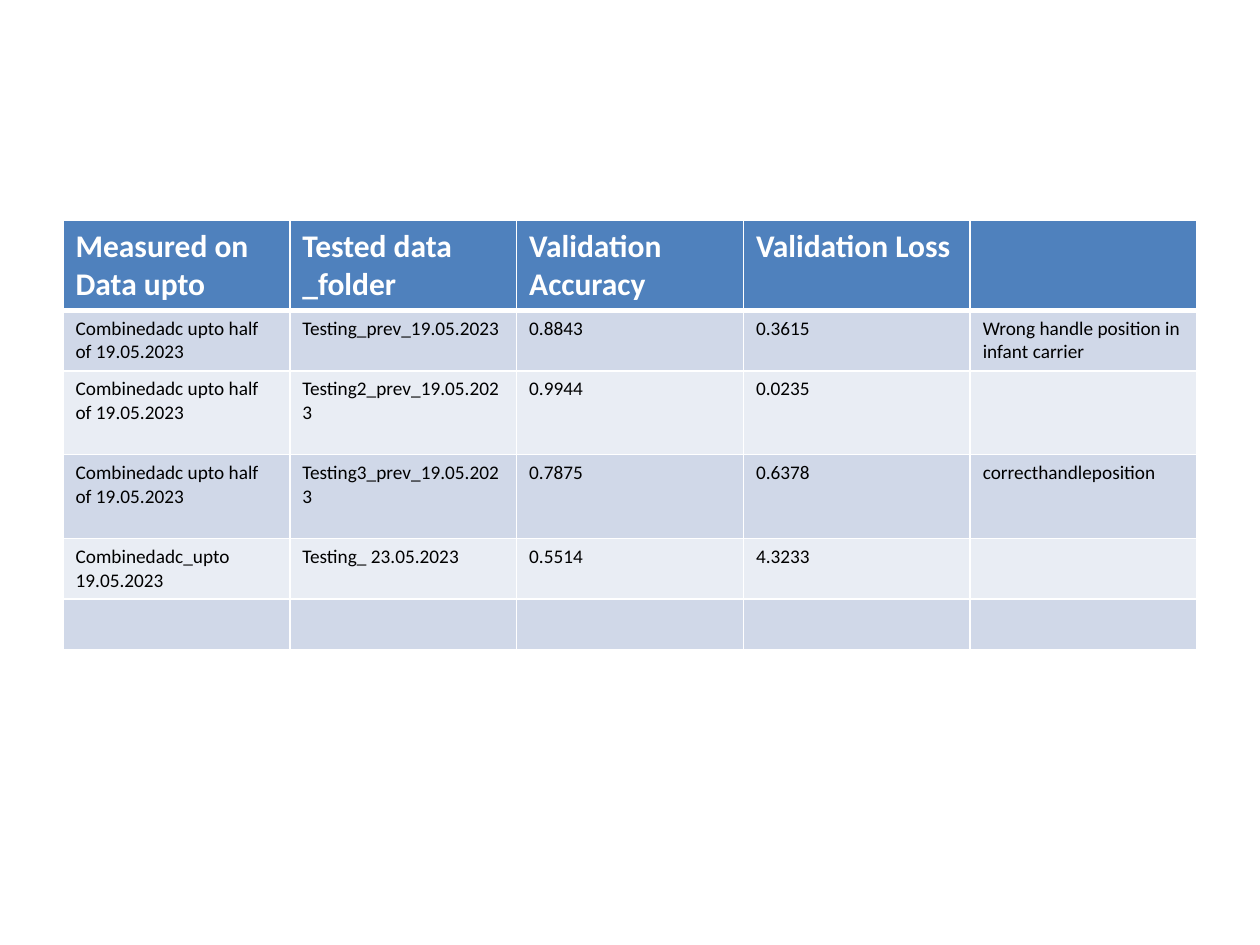
from lxml.etree import SubElement
from pptx import Presentation
from pptx.dml.color import RGBColor
from pptx.oxml.ns import qn
from pptx.util import Cm, Pt

WHITE = RGBColor(0xFF, 0xFF, 0xFF)
BLACK = RGBColor(0x00, 0x00, 0x00)
HEADER_BLUE = RGBColor(0x4F, 0x81, 0xBD)
BANDS = (RGBColor(0xD0, 0xD8, 0xE8), RGBColor(0xE9, 0xED, 0xF4))

# Content: header, then one row per test run
HALF_DATA = "Combinedadc upto half of 19.05.2023"
RESULTS = [
    ("Measured on Data upto", "Tested data _folder", "Validation Accuracy", "Validation Loss", ""),
    (HALF_DATA, "Testing_prev_19.05.2023", "0.8843", "0.3615",
     "Wrong handle position in infant carrier"),
    (HALF_DATA, "Testing2_prev_19.05.2023", "0.9944", "0.0235", ""),
    (HALF_DATA, "Testing3_prev_19.05.2023", "0.7875", "0.6378", "correcthandleposition"),
    ("Combinedadc_upto 19.05.2023", "Testing_ 23.05.2023", "0.5514", "4.3233", ""),
    ("", "", "", "", ""),
]
ROW_HEIGHTS = (1.79, 1.22, 1.69, 1.69, 1.22, 1.03)


def set_borders(cell, top, bottom):
    """Draw white cell borders, with the given top and bottom widths in points."""
    properties = cell._tc.get_or_add_tcPr()
    for side, width in (("L", 1), ("R", 1), ("T", top), ("B", bottom)):
        line = SubElement(properties, qn(f"a:ln{side}"), w=str(Pt(width)))
        fill = SubElement(line, qn("a:solidFill"))
        SubElement(fill, qn("a:srgbClr"), val=str(WHITE))


def main():
    deck = Presentation()
    deck.slide_width, deck.slide_height = Cm(25.4), Cm(19.05)
    slide = deck.slides.add_slide(deck.slide_layouts[6])

    # Results table with equal columns
    results = slide.shapes.add_table(
        len(RESULTS), len(RESULTS[0]),
        Cm(1.27), Cm(4.45), Cm(22.86), Cm(sum(ROW_HEIGHTS))).table

    for r, (values, height) in enumerate(zip(RESULTS, ROW_HEIGHTS)):
        is_header = r == 0
        results.rows[r].height = Cm(height)
        for c, value in enumerate(values):
            cell = results.cell(r, c)
            set_borders(cell, top=3 if r == 1 else 1, bottom=3 if is_header else 1)
            cell.fill.solid()
            cell.fill.fore_color.rgb = HEADER_BLUE if is_header else BANDS[(r - 1) % 2]
            if not value:
                continue
            cell.text_frame.text = value
            font = cell.text_frame.paragraphs[0].runs[0].font
            font.name = "Calibri"
            font.size = Pt(18 if is_header else 11)
            font.bold = is_header
            font.color.rgb = WHITE if is_header else BLACK

    deck.save("out.pptx")


if __name__ == "__main__":
    main()
